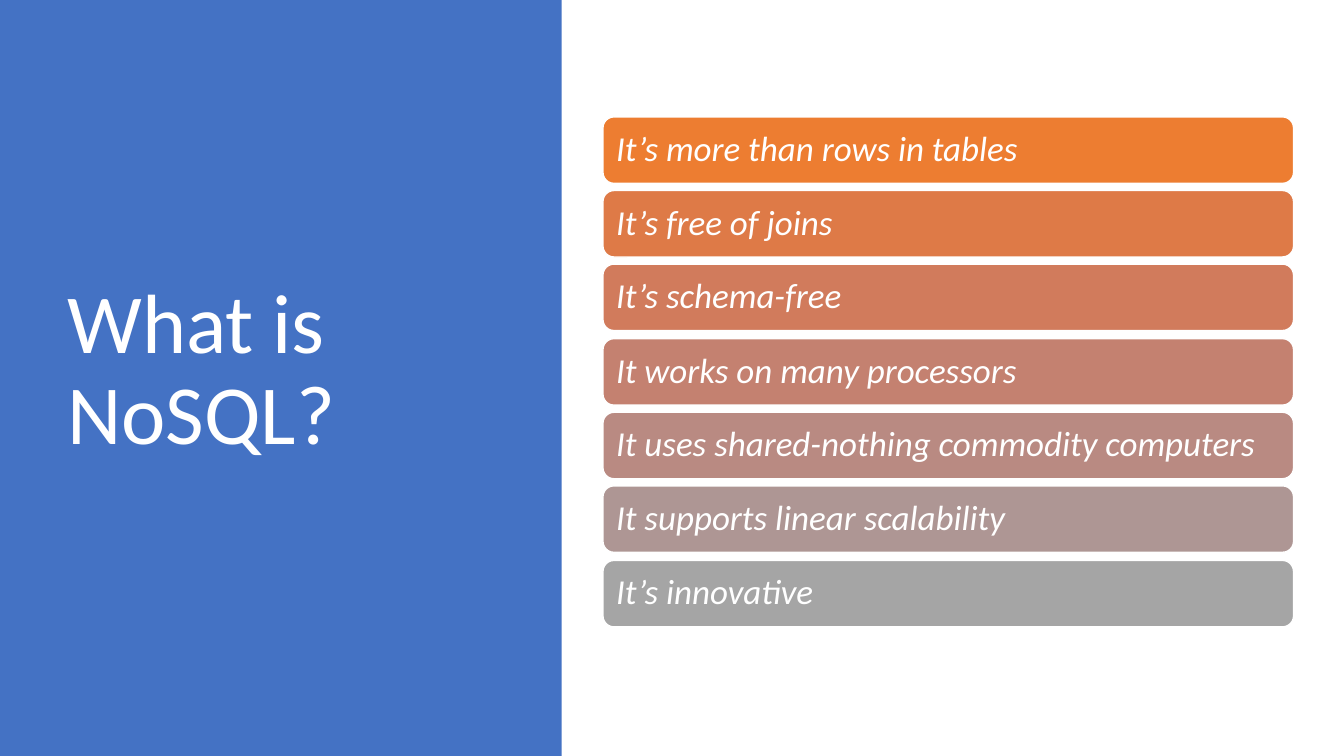
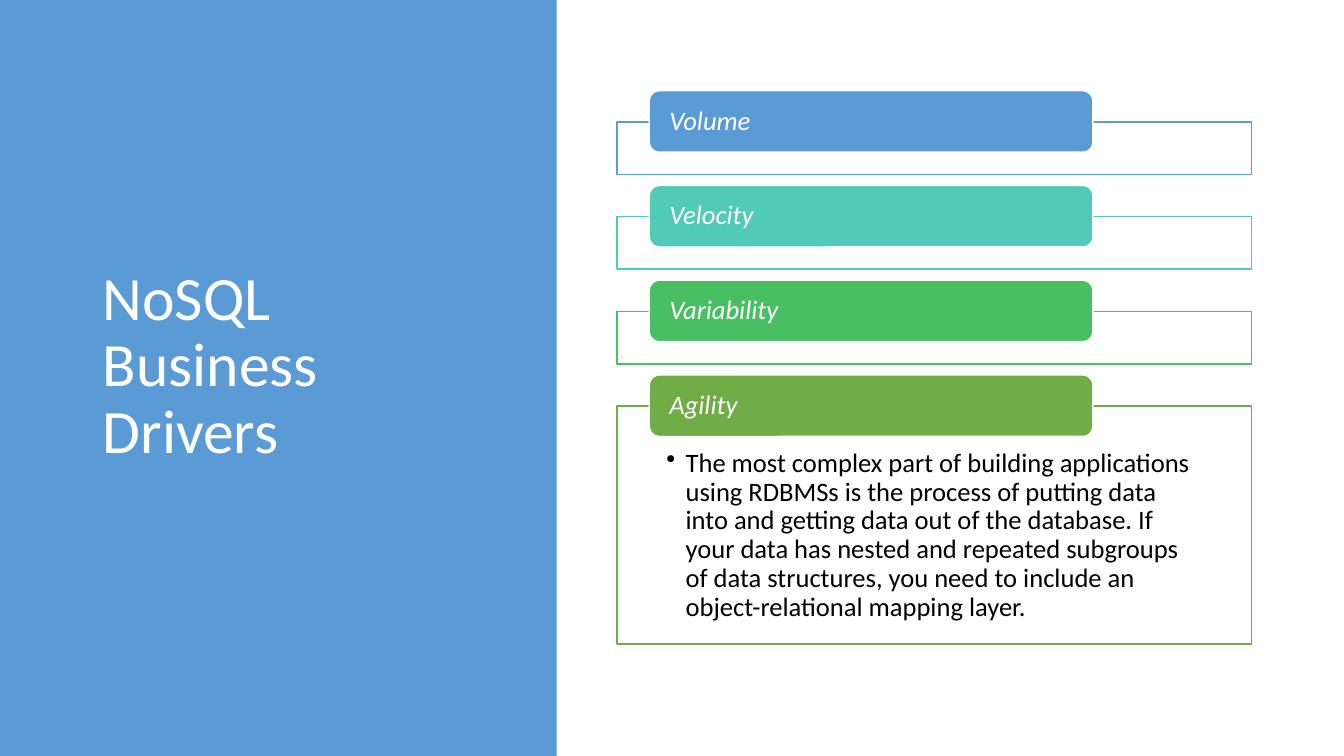
import dataclasses

import lxml.etree
import pptx
import pptx.dml.color
import pptx.enum.shapes
import pptx.enum.text
import pptx.oxml.ns
import pptx.util

EMU_PER_PX = 9144  # 100 px to the inch
SLIDE_WIDTH, SLIDE_HEIGHT = 1333, 750
SHAPES = pptx.enum.shapes.MSO_SHAPE
ANCHORS = pptx.enum.text.MSO_ANCHOR


@dataclasses.dataclass(frozen=True)
class Theme:
    font: str = "Calibri"
    white: str = "FFFFFF"
    black: str = "000000"
    question_panel: str = "4472C4"
    drivers_panel: str = "5B9BD5"
    answers: tuple = ("ED7D31", "DE7A47", "D17B5C", "C48170",
                      "B98A82", "AE9694", "A5A5A5")
    drivers: tuple = ("5B9BD5", "52CAB8", "49BF64", "70AD47")
    question_size: int = 60
    title_size: int = 44
    answer_size: int = 25
    driver_size: int = 19
    line_spacing: float = 0.9
    line_width: int = 1


def px(length):
    return pptx.util.Emu(length * EMU_PER_PX)


def rgb(value):
    return pptx.dml.color.RGBColor.from_string(value)


class SlideBuilder:
    def __init__(self, theme):
        self.theme = theme
        self.deck = pptx.Presentation()
        self.deck.slide_width = px(SLIDE_WIDTH)
        self.deck.slide_height = px(SLIDE_HEIGHT)
        self.slide = None

    def new_slide(self):
        self.slide = self.deck.slides.add_slide(self.deck.slide_layouts[6])

    def shape(self, kind, area, fill, line=None):
        box = self.slide.shapes.add_shape(kind, *map(px, area))
        box.shadow.inherit = False
        box.fill.solid()
        box.fill.fore_color.rgb = rgb(fill)
        if line:
            box.line.color.rgb = rgb(line)
            box.line.width = pptx.util.Pt(self.theme.line_width)
        else:
            box.line.fill.background()
        return box

    def text(self, box, words, size, color, insets, anchor=ANCHORS.MIDDLE,
             italic=False, bullet_indent=0):
        frame = box.text_frame
        frame.word_wrap = True
        frame.vertical_anchor = anchor
        (frame.margin_left, frame.margin_top,
         frame.margin_right, frame.margin_bottom) = map(px, insets)
        para = frame.paragraphs[0]
        para.alignment = pptx.enum.text.PP_ALIGN.LEFT
        para.line_spacing = self.theme.line_spacing
        if bullet_indent:
            self.bullet(para, bullet_indent)
        span = para.add_run()
        span.text = words
        span.font.name = self.theme.font
        span.font.size = pptx.util.Pt(size)
        span.font.italic = italic
        span.font.color.rgb = rgb(color)

    def bullet(self, para, indent):
        properties = para._p.get_or_add_pPr()
        properties.set("marL", str(px(indent)))
        properties.set("indent", str(-px(indent)))
        mark = lxml.etree.SubElement(properties, pptx.oxml.ns.qn("a:buChar"))
        mark.set("char", "•")

    def title_panel(self, width, fill, words, title_area, size):
        self.shape(SHAPES.RECTANGLE, (0, 0, width, SLIDE_HEIGHT), fill)
        box = self.slide.shapes.add_textbox(*map(px, title_area))
        self.text(box, words, size, self.theme.white, (10, 5, 10, 5))

    def bar(self, area, fill, words, size, insets):
        box = self.shape(SHAPES.ROUNDED_RECTANGLE, area, fill, self.theme.white)
        self.text(box, words, size, self.theme.white, insets, italic=True)

    def frame(self, area, line, words):
        box = self.shape(SHAPES.RECTANGLE, area, self.theme.white, line)
        if words:
            self.text(box, words, self.theme.driver_size, self.theme.black,
                      (49, 43, 49, 15), ANCHORS.TOP, bullet_indent=19)


def build_question(builder):
    theme = builder.theme
    builder.new_slide()
    builder.title_panel(557, theme.question_panel, "What is NoSQL?",
                        (57, 68, 416, 602), theme.question_size)
    answers = ("It’s more than rows in tables", "It’s free of joins",
               "It’s schema-free", "It works on many processors",
               "It uses shared-nothing commodity computers",
               "It supports linear scalability", "It’s innovative")
    # Bars spread evenly from the first top to the last
    first_top, last_top = 116, 556
    for index, (words, color) in enumerate(zip(answers, theme.answers)):
        top = first_top + index * (last_top - first_top) // (len(answers) - 1)
        builder.bar((598, top, 685, 66), color, words,
                    theme.answer_size, (10, 10, 10, 10))


def build_drivers(builder):
    theme = builder.theme
    builder.new_slide()
    builder.title_panel(552, theme.drivers_panel, "NoSQL Business Drivers",
                        (92, 68, 412, 592), theme.title_size)
    agility = (
        "The most complex part of building applications using RDBMSs is the "
        "process of putting data into and getting data out of the database. "
        "If your data has nested and repeated subgroups of data structures, "
        "you need to include an object-relational mapping layer.")
    drivers = (("Volume", ""), ("Velocity", ""), ("Variability", ""),
               ("Agility", agility))
    # Each frame carries a tab that overlaps its top edge
    top, gap, tab_rise = 121, 42, 31
    for (name, details), color in zip(drivers, theme.drivers):
        height = 236 if details else 52
        builder.frame((612, top, 629, height), color, details)
        builder.bar((644, top - tab_rise, 440, 61), color, name,
                    theme.driver_size, (17, 0, 17, 0))
        top += height + gap


def main():
    builder = SlideBuilder(Theme())
    build_question(builder)
    build_drivers(builder)
    builder.deck.save("out.pptx")


if __name__ == "__main__":
    main()
